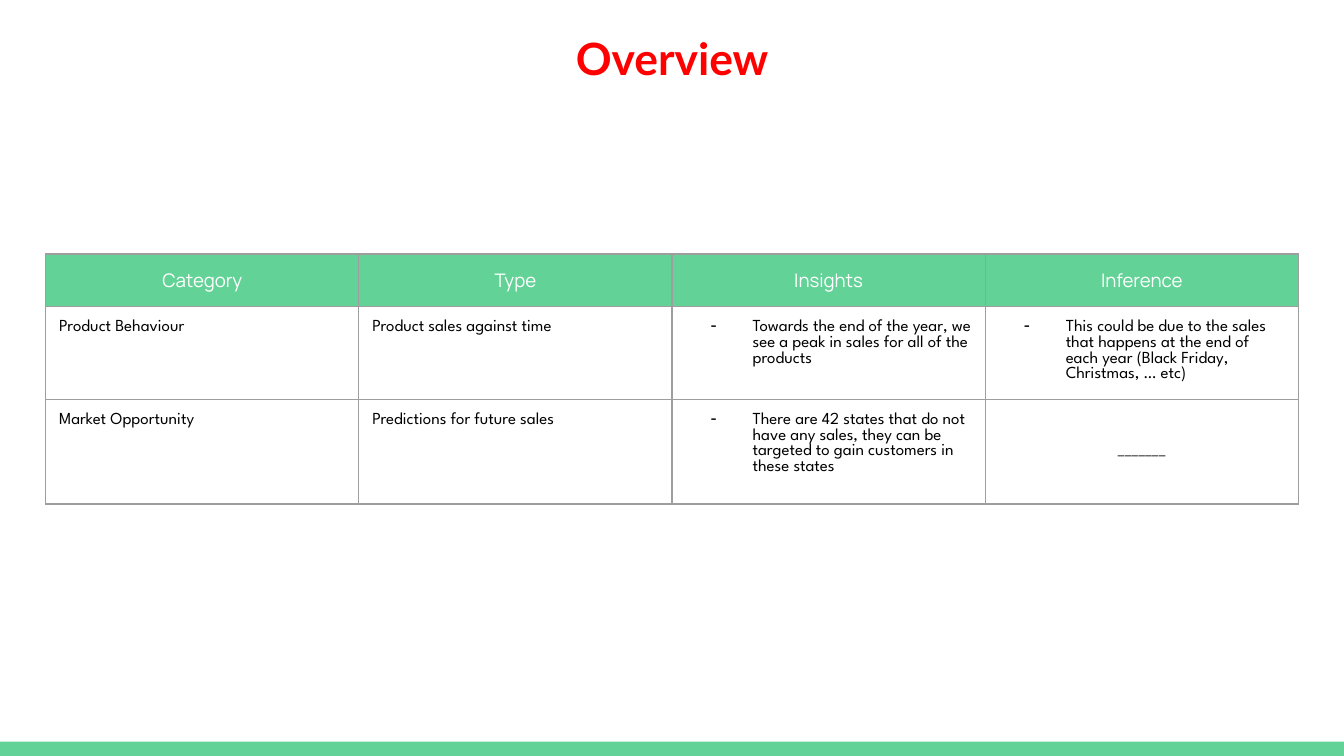
"""Build the overview slide with its table of insights."""
from dataclasses import dataclass
from typing import Any

from lxml import etree
from pptx import Presentation, util as u
from pptx.dml import color
from pptx.enum import shapes, text
from pptx.oxml import ns

WIDE = 10
HIGH = WIDE * 9 / 16
EDGE = 0.034
GREEN, GREY, RED, WHITE, BLACK = "63D297", "9E9E9E", "FF0000", "FFFFFF", "000000"
MID, LEFT = text.PP_ALIGN.CENTER, text.PP_ALIGN.LEFT
TOP, HALF = text.MSO_ANCHOR.TOP, text.MSO_ANCHOR.MIDDLE
PAD = {f"margin_{side}": u.Inches(0.1) for side in ("left", "top", "right", "bottom")}


@dataclass(frozen=True)
class Style:
    face: str
    size: float
    ink: str
    bold: bool = False


@dataclass(frozen=True)
class Entry:
    words: str
    style: Style
    align: Any = LEFT
    anchor: Any = TOP
    fill: str = ""
    dash: bool = False


TITLE = Style("Lato", 23.8, RED, True)
HEAD = Style("Manrope", 10, WHITE)
BODY = Style("League Spartan", 9, BLACK)

ROWS = [
    [Entry(name, HEAD, MID, fill=GREEN)
     for name in ("Category", "Type", "Insights", "Inference")],
    [
        Entry("Product Behaviour", BODY),
        Entry("Product sales against time", BODY),
        Entry("Towards the end of the year, we see a peak in sales "
              "for all of the products", BODY, dash=True),
        Entry("This could be due to the sales that happens at the end of "
              "each year (Black Friday, Christmas, … etc)", BODY, dash=True),
    ],
    [
        Entry("Market Opportunity", BODY),
        Entry("Predictions for future sales", BODY),
        Entry("There are 42 states that do not have any sales, they can be "
              "targeted to gain customers in these states", BODY, dash=True),
        Entry("_______", BODY, MID, HALF),
    ],
]
TALL = (0.39, 0.69, 0.78)


def tint(code: str) -> color.RGBColor:
    return color.RGBColor.from_string(code)


def apply(item: Any, values: dict[str, Any]) -> None:
    for key, value in values.items():
        setattr(item, key, value)


def area(left: float, top: float, wide: float, high: float) -> list[int]:
    return [u.Inches(share * size)
            for share, size in zip((left, top, wide, high), (WIDE, HIGH) * 2)]


def write(para: Any, words: str, style: Style, align: Any) -> None:
    para.alignment = align
    run = para.add_run()
    run.text = words
    apply(run.font, {"name": style.face, "size": u.Pt(style.size), "bold": style.bold})
    run.font.color.rgb = tint(style.ink)


def bullet(para: Any) -> None:
    props = para._p.get_or_add_pPr()
    props.set("marL", str(u.Inches(0.5)))
    props.set("indent", str(u.Inches(-0.31)))
    shade = etree.SubElement(props, ns.qn("a:buClr"))
    etree.SubElement(shade, ns.qn("a:srgbClr"), val=BLACK)
    etree.SubElement(props, ns.qn("a:buChar"), char="-")


def border(cell: Any) -> None:
    props = cell._tc.get_or_add_tcPr()
    for side in "LRTB":
        line = etree.SubElement(props, ns.qn(f"a:ln{side}"), w=str(u.Pt(0.75)))
        fill = etree.SubElement(line, ns.qn("a:solidFill"))
        etree.SubElement(fill, ns.qn("a:srgbClr"), val=GREY)


def fill_cell(cell: Any, entry: Entry) -> None:
    border(cell)
    apply(cell, PAD | {"vertical_anchor": entry.anchor})
    if entry.fill:
        cell.fill.solid()
        cell.fill.fore_color.rgb = tint(entry.fill)
    else:
        cell.fill.background()
    para = cell.text_frame.paragraphs[0]
    write(para, entry.words, entry.style, entry.align)
    if entry.dash:
        bullet(para)


def add_grid(slide: Any) -> None:
    place = area(EDGE, 0.336, 1 - 2 * EDGE, sum(TALL) / HIGH)
    grid = slide.shapes.add_table(len(ROWS), len(ROWS[0]), *place).table
    apply(grid, {"first_row": False, "horz_banding": False})
    for row, high, entries in zip(grid.rows, TALL, ROWS):
        row.height = u.Inches(high)
        for cell, entry in zip(row.cells, entries):
            fill_cell(cell, entry)


def add_band(slide: Any) -> None:
    band = slide.shapes.add_shape(shapes.MSO_SHAPE.RECTANGLE, *area(0, 0.981, 1, 0.019))
    band.shadow.inherit = False
    band.fill.solid()
    band.fill.fore_color.rgb = tint(GREEN)
    band.line.fill.background()


def add_title(slide: Any, words: str) -> None:
    title = slide.shapes.title
    place = area(EDGE, 0.023, 1 - 2 * EDGE, 0.094)
    apply(title, dict(zip(("left", "top", "width", "height"), place)))
    frame = title.text_frame
    apply(frame, PAD | {"vertical_anchor": TOP, "word_wrap": True,
                        "auto_size": text.MSO_AUTO_SIZE.NONE})
    write(frame.paragraphs[0], words, TITLE, MID)


def main() -> None:
    deck = Presentation()
    apply(deck, {"slide_width": u.Inches(WIDE), "slide_height": u.Inches(HIGH)})
    slide = deck.slides.add_slide(deck.slide_layouts[5])
    add_band(slide)
    add_title(slide, "Overview")
    add_grid(slide)
    deck.save("out.pptx")


main()
